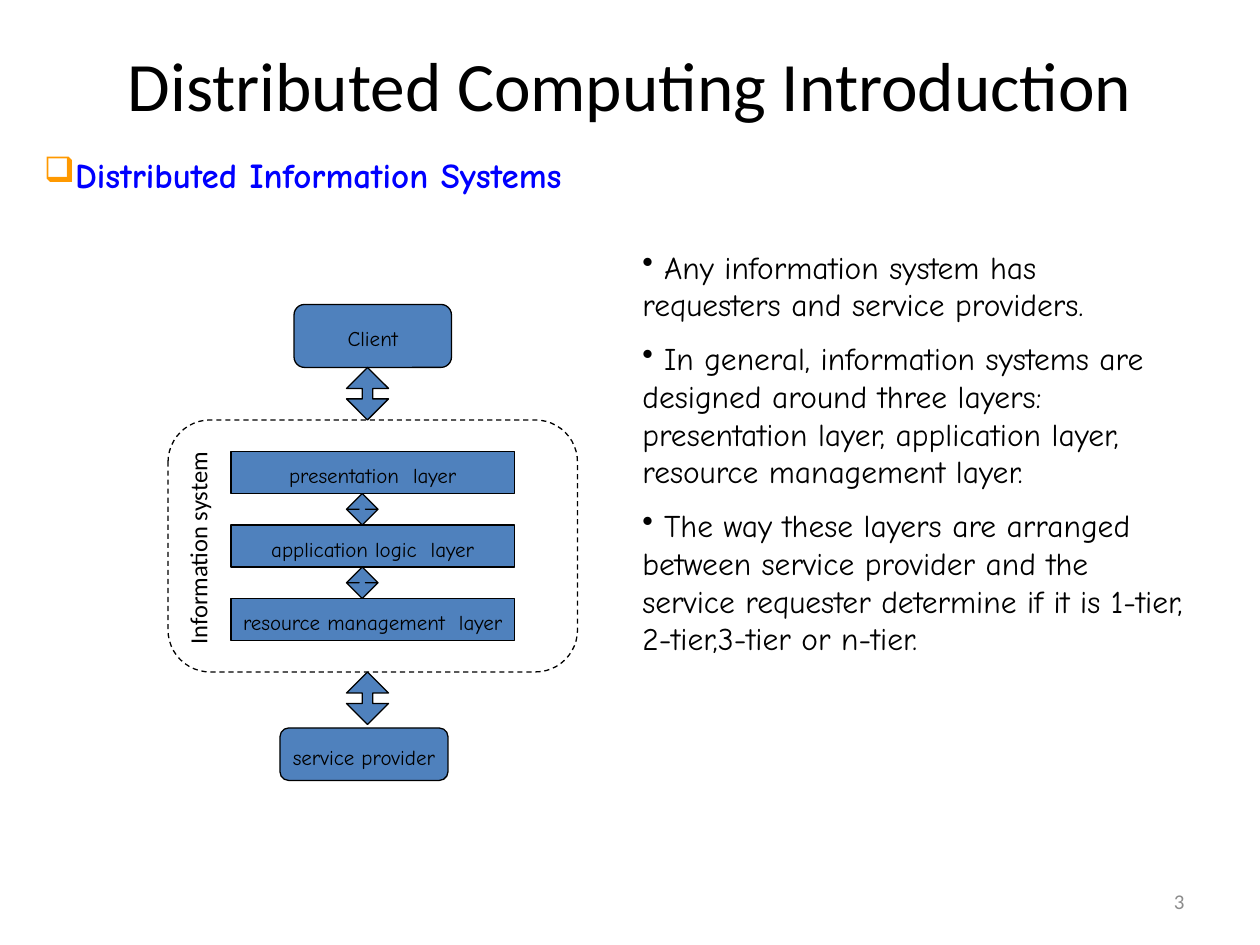
"""Build a slide that shows the layers of a distributed information system."""
from lxml.etree import SubElement
from pptx import Presentation
from pptx.dml.color import RGBColor
from pptx.enum.dml import MSO_LINE
from pptx.enum.shapes import MSO_SHAPE
from pptx.enum.text import MSO_ANCHOR, PP_ALIGN
from pptx.oxml.ns import qn
from pptx.util import Pt

TITLE = {"name": "Calibri", "size": Pt(39.6)}
HEADING = {"name": "Comic Neue", "size": Pt(20), "bold": True}
BODY = {"name": "Comic Neue", "size": Pt(18)}
LABEL = {"name": "Comic Neue", "size": Pt(12)}
SIDE = {"name": "Calibri", "size": Pt(14)}
NUMBER = {"name": "Calibri", "size": Pt(12)}


def write(shape, lines, font, color="000000", align=PP_ALIGN.LEFT, bullet=None, bullet_color=None, **frame):
    for name, value in {"word_wrap": True, **frame}.items():
        setattr(shape.text_frame, name, value)
    for index, line in enumerate(lines):
        para = shape.text_frame.add_paragraph() if index else shape.text_frame.paragraphs[0]
        para.alignment = align
        para.space_before = Pt(9 if index else 0)
        if bullet:
            properties = para._p.get_or_add_pPr()
            properties.set("marL", "0")
            properties.set("indent", "0")
            if bullet_color:
                holder = SubElement(properties, qn("a:buClr"))
                SubElement(holder, qn("a:srgbClr"), val=bullet_color)
            SubElement(properties, qn("a:buChar"), char=bullet)
        span = para.add_run()
        span.text = line
        for name, value in font.items():
            setattr(span.font, name, value)
        span.font.color.rgb = RGBColor.from_string(color)


def draw(kind, left, top, width, height, adjustments=(), fill="4F81BD"):
    shape = page.shapes.add_shape(kind, Pt(left), Pt(top), Pt(width), Pt(height))
    shape.shadow.inherit = False
    for index, value in enumerate(adjustments):
        shape.adjustments[index] = value
    if fill:
        shape.fill.solid()
        shape.fill.fore_color.rgb = RGBColor.from_string(fill)
    else:
        shape.fill.background()
    shape.line.color.rgb = RGBColor.from_string("000000")
    shape.line.width = Pt(0.75)
    return shape


deck = Presentation()
deck.slide_width, deck.slide_height = Pt(720), Pt(540)
page = deck.slides.add_slide(deck.slide_layouts[6])

title = page.shapes.add_textbox(Pt(54), Pt(18), Pt(612), Pt(60))
write(title, ["Distributed Computing Introduction"], TITLE, align=PP_ALIGN.CENTER, vertical_anchor=MSO_ANCHOR.MIDDLE)

heading = page.shapes.add_textbox(Pt(18), Pt(84), Pt(540), Pt(31))
write(heading, ["Distributed Information Systems"], HEADING, "0000FF", bullet="❑", bullet_color="FF9900")

points = [
    " Any information system has requesters and service providers.",
    " In general, information systems are designed around three layers: "
    "presentation layer, application layer, resource management layer.",
    " The way these layers are arranged between service provider and the "
    "service requester determine if it is 1-tier, 2-tier,3-tier or n-tier.",
]
body = page.shapes.add_textbox(Pt(360), Pt(138), Pt(324), Pt(280))
write(body, points, BODY, bullet="•")

system = draw(MSO_SHAPE.ROUNDED_RECTANGLE, 96, 240, 234, 144, [0.167], None)
system.line.dash_style = MSO_LINE.DASH
side = page.shapes.add_textbox(Pt(41), Pt(291.5), Pt(144), Pt(24))
side.rotation = 270
write(side, ["Information system"], SIDE)

label_frame = {
    "align": PP_ALIGN.CENTER, "vertical_anchor": MSO_ANCHOR.MIDDLE,
    "margin_left": 0, "margin_right": 0, "margin_top": Pt(3), "margin_bottom": 0,
}
for name, left, top, width, height in [
    ("Client", 168, 174, 90, 36),
    ("service provider", 160, 416, 96, 30),
]:
    box = draw(MSO_SHAPE.ROUNDED_RECTANGLE, left, top, width, height, [0.167])
    write(box, [name], LABEL, **label_frame)

layers = ["presentation  layer", "application logic  layer", "resource management  layer"]
for index, name in enumerate(layers):
    top = 258 + 42 * index
    box = draw(MSO_SHAPE.RECTANGLE, 132, top, 162, 24)
    write(box, [name], LABEL, **label_frame)
    if index:
        draw(MSO_SHAPE.UP_DOWN_ARROW, 198, top - 18, 18, 18, [0.5, 0.2])

for top in (210, 384):
    draw(MSO_SHAPE.UP_DOWN_ARROW, 198, top, 24, 30, [0.5, 0.25])

number = page.shapes.add_textbox(Pt(516), Pt(500.5), Pt(168), Pt(28.75))
write(number, ["3"], NUMBER, "8C8C8C", PP_ALIGN.RIGHT, vertical_anchor=MSO_ANCHOR.MIDDLE)

deck.save("out.pptx")
